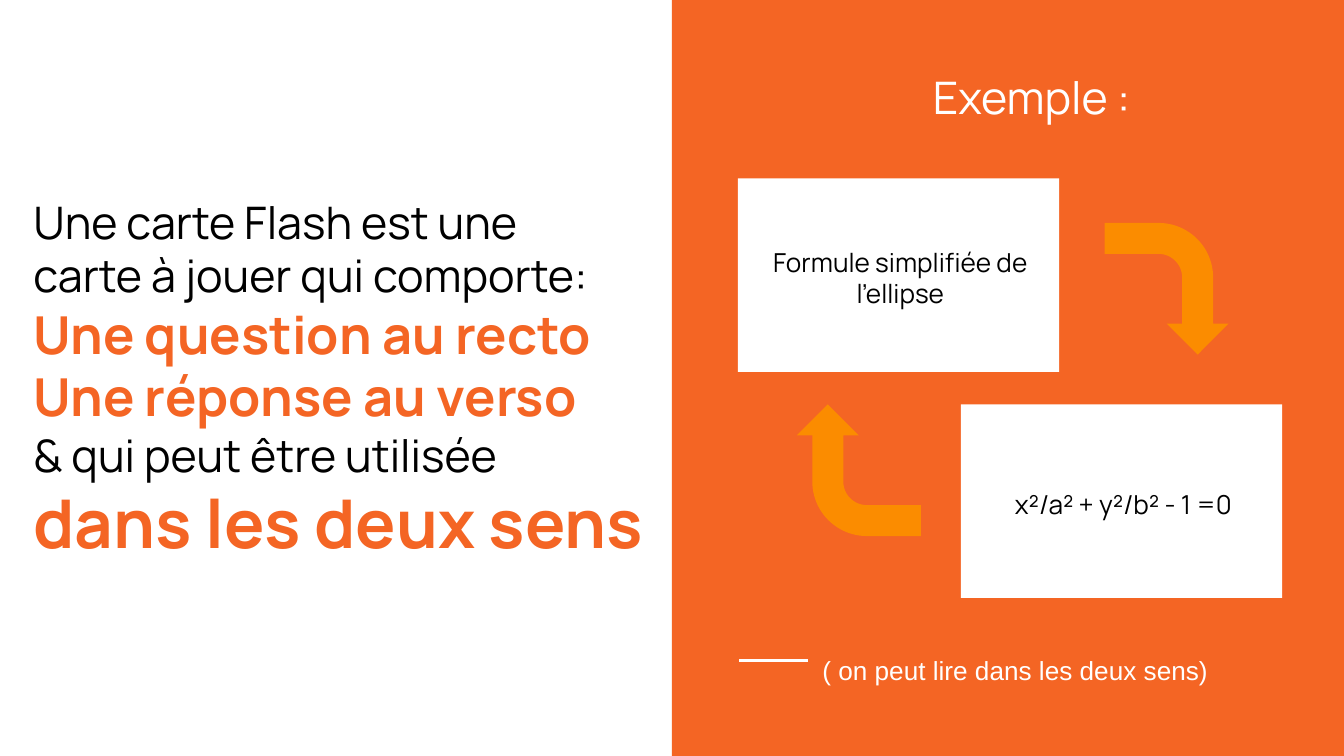
from pptx import Presentation
from pptx.dml.color import RGBColor
from pptx.enum.shapes import MSO_CONNECTOR as LINE, MSO_SHAPE as SHAPE
from pptx.enum.text import MSO_ANCHOR as ANCHOR, PP_ALIGN as ALIGN
from pptx.oxml.ns import qn
from pptx.util import Inches, Pt
from lxml.etree import SubElement

WIDTH, HEIGHT = Inches(10), Inches(5.625)
COLORS = {"orange": "F46524", "amber": "FB8C00", "white": "FFFFFF", "black": "000000"}
CARD_W, CARD_H = 23.9, 25.6
PAD_X, PAD_Y = 1.2, 2.3


def color(name):
    return RGBColor.from_string(COLORS[name])


def area(x, y, w, h):
    return [int(WIDTH * x / 100), int(HEIGHT * y / 100),
            int(WIDTH * w / 100), int(HEIGHT * h / 100)]


def add_block(s, kind, box, fill, rotation=0):
    sp = s.shapes.add_shape(kind, *area(*box))
    sp.shadow.inherit = False
    sp.fill.solid()
    sp.fill.fore_color.rgb = color(fill)
    sp.line.fill.background()
    sp.rotation = rotation
    return sp


def add_text(s, box, lines, align=ALIGN.CENTER, anchor=ANCHOR.TOP, font="Manrope"):
    tf = s.shapes.add_textbox(*area(*box)).text_frame
    tf.word_wrap = True
    tf.vertical_anchor = anchor
    tf.margin_left = tf.margin_right = tf.margin_top = tf.margin_bottom = Inches(0.1)
    for i, (text, size, ink, bold) in enumerate(lines):
        p = tf.add_paragraph() if i else tf.paragraphs[0]
        p.alignment = align
        r = p.add_run()
        r.text = text
        r.font.name = font
        r.font.size = Pt(size)
        r.font.bold = bold
        r.font.color.rgb = color(ink)


def add_card(s, x, y, text):
    add_block(s, SHAPE.RECTANGLE, (x, y, CARD_W, CARD_H), "white")
    box = (x + PAD_X, y + PAD_Y, 21.8, 21.7)
    add_text(s, box, [(text, 14, "black", False)], anchor=ANCHOR.MIDDLE)


def add_turn(s, x, y, rotation):
    sp = add_block(s, SHAPE.BENT_ARROW, (x, y, 9.8, 16.4), "amber", rotation)
    sp.adjustments[3] = 0.44


def add_rule(s, x, y, w):
    left, top, width, _ = area(x, y, w, 0)
    rule = s.shapes.add_connector(LINE.STRAIGHT, left, top, left + width, top)
    rule.line.color.rgb = color("white")
    rule.line.width = Pt(1.5)
    SubElement(rule._element.spPr, qn("a:effectLst"))


def main():
    prs = Presentation()
    prs.slide_width, prs.slide_height = WIDTH, HEIGHT
    s = prs.slides.add_slide(prs.slide_layouts[6])

    add_block(s, SHAPE.RECTANGLE, (50, 0, 50, 100), "orange")
    add_rule(s, 55, 87.4, 5.1)
    add_text(s, (1.5, 37.2, 50, 25.6), [
        ("Une carte Flash est une", 24, "black", False),
        ("carte à jouer qui comporte:", 24, "black", False),
        ("Une question au recto", 28, "orange", True),
        ("Une réponse au verso", 28, "orange", True),
        ("& qui peut être utilisée", 24, "black", False),
        ("dans les deux sens", 36, "orange", True),
    ], align=ALIGN.LEFT, anchor=ANCHOR.MIDDLE)

    add_card(s, 54.9, 23.6, "Formule simplifiée de l’ellipse")
    add_card(s, 71.5, 53.5, "x²/a² + y²/b² - 1 =0")
    add_text(s, (67.5, 7.5, 18.5, 10.5), [("Exemple :", 24, "white", False)])
    add_text(s, (54.9, 84.8, 41.3, 8.4),
             [("( on peut lire dans les deux sens)", 14, "white", False)], font="Arial")
    add_turn(s, 59, 54, 270)
    add_turn(s, 81.9, 30, 90)

    prs.save("out.pptx")


if __name__ == "__main__":
    main()
